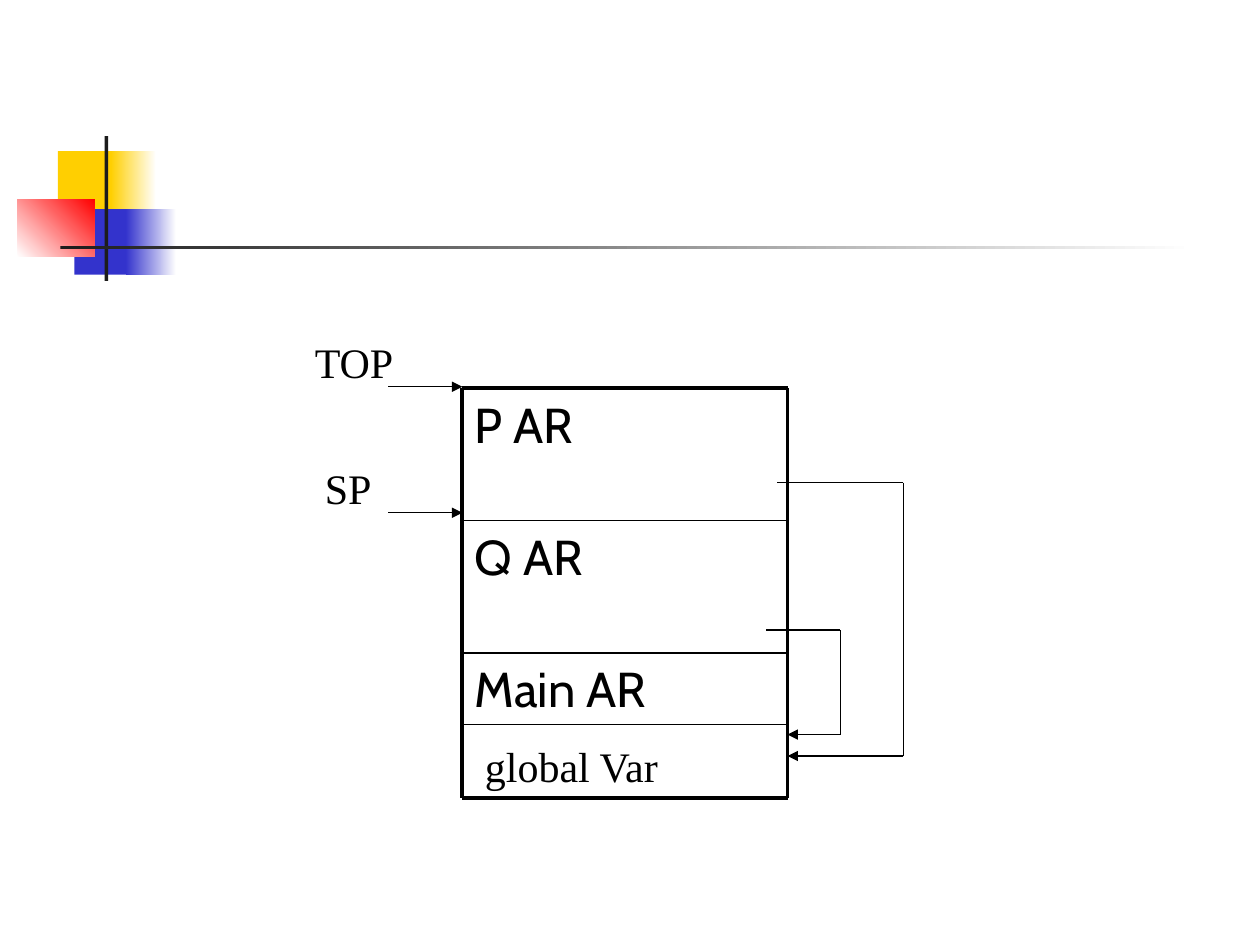
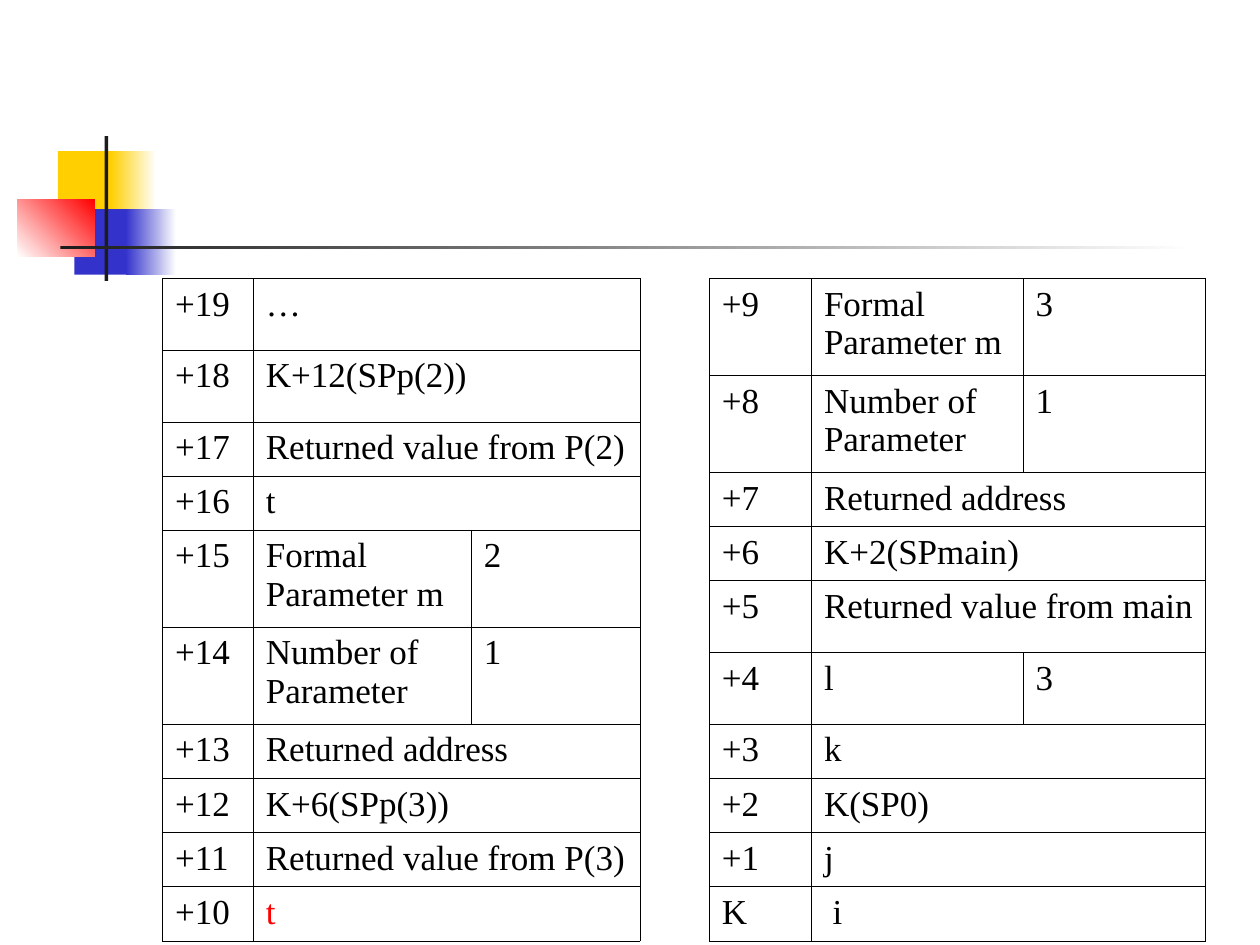
from dataclasses import dataclass
from itertools import pairwise

from lxml import etree
from pptx import Presentation
from pptx import util as u
from pptx.dml.color import RGBColor
from pptx.enum import shapes, text
from pptx.oxml import ns


@dataclass(frozen=True)
class Theme:
    """Colours, fonts, type sizes and line widths of the deck."""
    ink: str = "000000"
    paper: str = "FFFFFF"
    bar: str = "1C1C1C"
    yellow: str = "FFCF01"
    blue: str = "3333CC"
    red: str = "FF0000"
    serif: str = "Times New Roman"
    sans: str = "Cabin"
    record_size: int = 28
    label_size: int = 24
    cell_size: int = 20
    frame: float = 2.25
    divider: float = 1
    thin: float = 0.75
    border: float = 0.45


theme = Theme()


def write(frame, words, font, size, color=theme.ink, **paragraph_format):
    """Fill a text frame with one paragraph per line of words."""
    frame.text = words
    for paragraph in frame.paragraphs:
        for name, value in paragraph_format.items():
            setattr(paragraph, name, value)
        for name, value in {"name": font, "size": u.Pt(size)}.items():
            setattr(paragraph.font, name, value)
        paragraph.font.color.rgb = RGBColor.from_string(color)


def draw_path(slide, points, width, arrow=False):
    """Join points with straight lines, with an arrowhead on the last if asked."""
    for start, end in pairwise(points):
        line = slide.shapes.add_connector(
            shapes.MSO_CONNECTOR.STRAIGHT, *map(u.Inches, start + end))
        line.line.color.rgb = RGBColor.from_string(theme.ink)
        line.line.width = u.Pt(width)
        if arrow and end == points[-1]:
            etree.SubElement(line.line._get_or_add_ln(), ns.qn("a:tailEnd"), type="triangle")
        etree.SubElement(line._element.spPr, ns.qn("a:effectLst"))


deck = Presentation()
deck.slide_width, deck.slide_height = u.Inches(10), u.Inches(7.5)
blank = deck.slide_layouts[6]
stack_slide, memory_slide = [deck.slides.add_slide(blank) for _ in range(2)]

# Shared ornament: left, top, width, height, start colour, end colour, angle
ornament = [
    (0.46, 1.2, 0.48, 0.52, theme.yellow, None, 0),
    (0.88, 1.2, 0.36, 0.52, theme.yellow, theme.paper, 0),
    (0.59, 1.66, 0.46, 0.52, theme.blue, None, 0),
    (1, 1.66, 0.4, 0.52, theme.blue, theme.paper, 0),
    (0.14, 1.58, 0.61, 0.46, theme.paper, theme.red, 45),
    (0.83, 1.08, 0.03, 1.15, theme.bar, None, 0),
    (0.48, 1.95, 9, 0.03, theme.bar, theme.paper, 0),
]
for slide in (stack_slide, memory_slide):
    for *place, start_color, end_color, angle in ornament:
        block = slide.shapes.add_shape(shapes.MSO_SHAPE.RECTANGLE, *map(u.Inches, place))
        block.shadow.inherit = False
        block.line.fill.background()
        if end_color:
            block.fill.gradient()
            block.fill.gradient_angle = angle
            for stop, color in zip(block.fill.gradient_stops, (start_color, end_color)):
                stop.color.rgb = RGBColor.from_string(color)
        else:
            block.fill.solid()
            block.fill.fore_color.rgb = RGBColor.from_string(start_color)

# Slide 1: the run-time stack of activation records
left, right, top, bottom = 3.67, 6.25, 3.08, 6.33
record_width = right - left
q_top, main_top, global_top = 4.13, 5.18, 5.75

# Words, left, top, width, height, font, size, space before, wrap
record = (theme.sans, theme.record_size, 7, True)
labels = [
    ("Main AR", left, main_top, record_width, 1.16, *record),
    ("Q AR", left, q_top, record_width, 1.05, *record),
    ("P AR", left, top, record_width, 1.05, *record),
    ("TOP", 2.4, 2.62, 0.83, 0.5, theme.serif, theme.label_size, 0, False),
    ("SP", 2.48, 3.62, 0.57, 0.5, theme.serif, theme.label_size, 0, False),
    ("global Var", 3.75, 5.83, 2.42, 0.5, theme.serif, theme.label_size, 15, True),
]
for words, *place, font, size, space_before, wrap in labels:
    label = stack_slide.shapes.add_textbox(*map(u.Inches, place))
    label.text_frame.word_wrap = wrap
    label.text_frame.vertical_anchor = text.MSO_ANCHOR.TOP
    write(label.text_frame, words, font, size, space_before=u.Pt(space_before))

for y, width in [(top, theme.frame), (q_top, theme.divider), (main_top, theme.divider),
                 (global_top, theme.thin), (bottom, theme.frame)]:
    draw_path(stack_slide, [(left, y), (right, y)], width)
for x in (left, right):
    draw_path(stack_slide, [(x, top), (x, bottom)], theme.frame)

# Links from the records to the global area: start x, start y, turn x, end y
for start_x, start_y, turn_x, end_y in [(6.17, 3.83, 7.17, 6), (6.08, 5, 6.67, 5.83)]:
    link = [(start_x, start_y), (turn_x, start_y), (turn_x, end_y), (right, end_y)]
    draw_path(stack_slide, link, theme.thin, arrow=True)
for pointer_y in (3.07, 4.07):
    draw_path(stack_slide, [(3.08, pointer_y), (left, pointer_y)], theme.thin, arrow=True)

# Slide 2: memory cells as address, content and, where split, value
low, middle, high = 0.43, 0.57, 0.77
upper_memory = [
    (middle, "+19", "…"),
    (middle, "+18", "K+12(SPp(2))"),
    (low, "+17", "Returned value from P(2)"),
    (low, "+16", "t"),
    (high, "+15", "Formal\nParameter m", "2"),
    (high, "+14", "Number of\nParameter", "1"),
    (low, "+13", "Returned address"),
    (low, "+12", "K+6(SPp(3))"),
    (low, "+11", "Returned value from P(3)"),
    (low, "+10", "t"),
]
lower_memory = [
    (high, "+9", "Formal\nParameter m", "3"),
    (high, "+8", "Number of\nParameter", "1"),
    (low, "+7", "Returned address"),
    (low, "+6", "K+2(SPmain)"),
    (middle, "+5", "Returned value from main"),
    (middle, "+4", "l", "3"),
    (low, "+3", "k"),
    (low, "+2", "K(SP0)"),
    (low, "+1", "j"),
    (low, "K", " i"),
]
for table_left, column_widths, memory in [
    (1.29, (0.72, 1.73, 1.34), upper_memory),
    (5.63, (0.81, 1.68, 1.45), lower_memory),
]:
    table_height = sum(row[0] for row in memory)
    table = memory_slide.shapes.add_table(
        len(memory), len(column_widths),
        *map(u.Inches, (table_left, 2.21, sum(column_widths), table_height))).table
    table.first_row = table.horz_banding = False
    for column, column_width in zip(table.columns, column_widths):
        column.width = u.Inches(column_width)
    for row_index, (row_height, *contents) in enumerate(memory):
        table.rows[row_index].height = u.Inches(row_height)
        for cell in table.rows[row_index].cells:
            properties = cell._tc.get_or_add_tcPr()
            for side in ("lnL", "lnR", "lnT", "lnB"):
                edge = etree.SubElement(properties, ns.qn(f"a:{side}"), w=str(u.Pt(theme.border)))
                edge_fill = etree.SubElement(edge, ns.qn("a:solidFill"))
                etree.SubElement(edge_fill, ns.qn("a:srgbClr"), val=theme.ink)
            cell.fill.background()
        if len(contents) == 2:
            table.cell(row_index, 1).merge(table.cell(row_index, 2))
        for column_index, words in enumerate(contents):
            is_current = contents[0] == "+10" and column_index == 1
            write(table.cell(row_index, column_index).text_frame, words, theme.serif,
                  theme.cell_size, theme.red if is_current else theme.ink)

deck.save("out.pptx")
